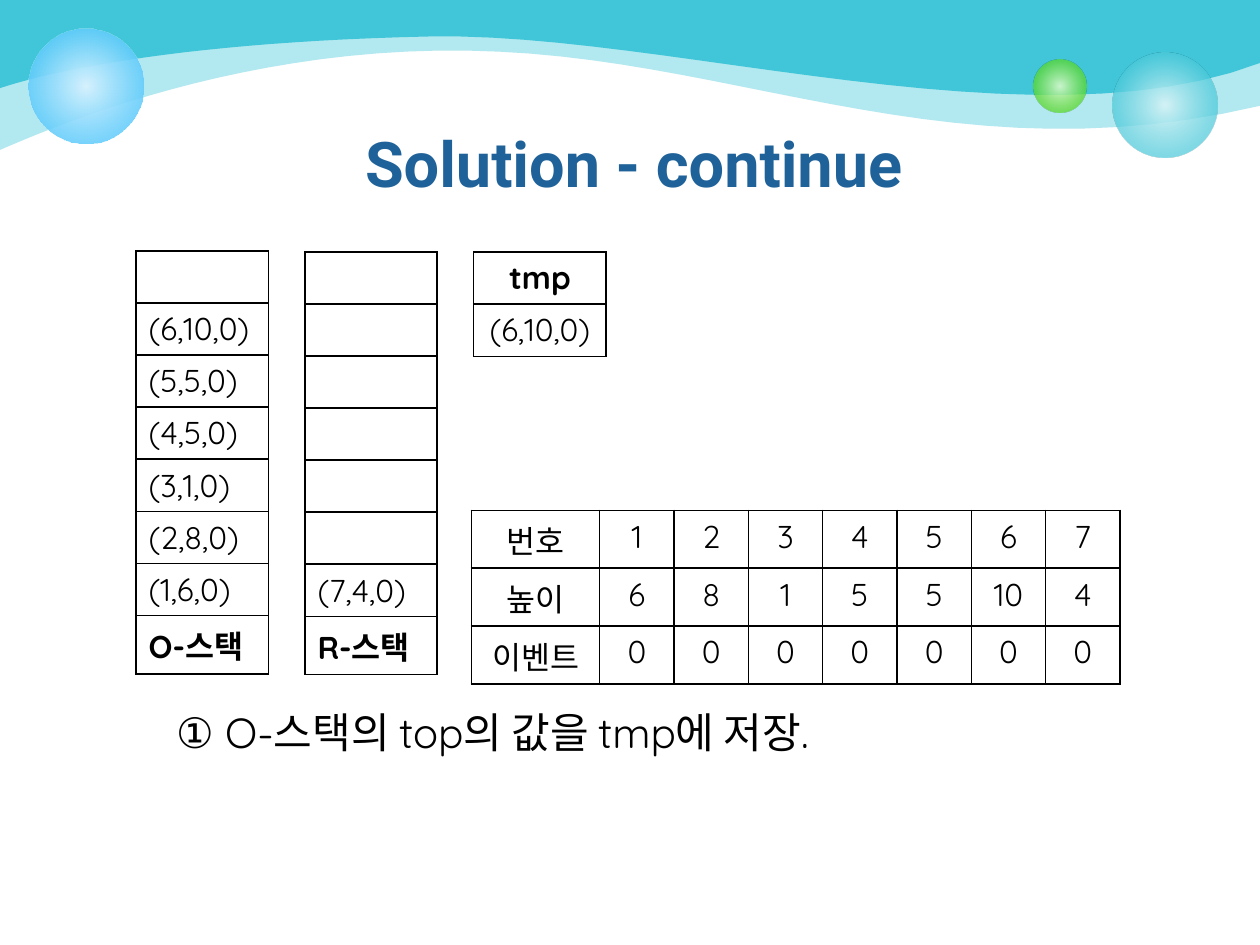
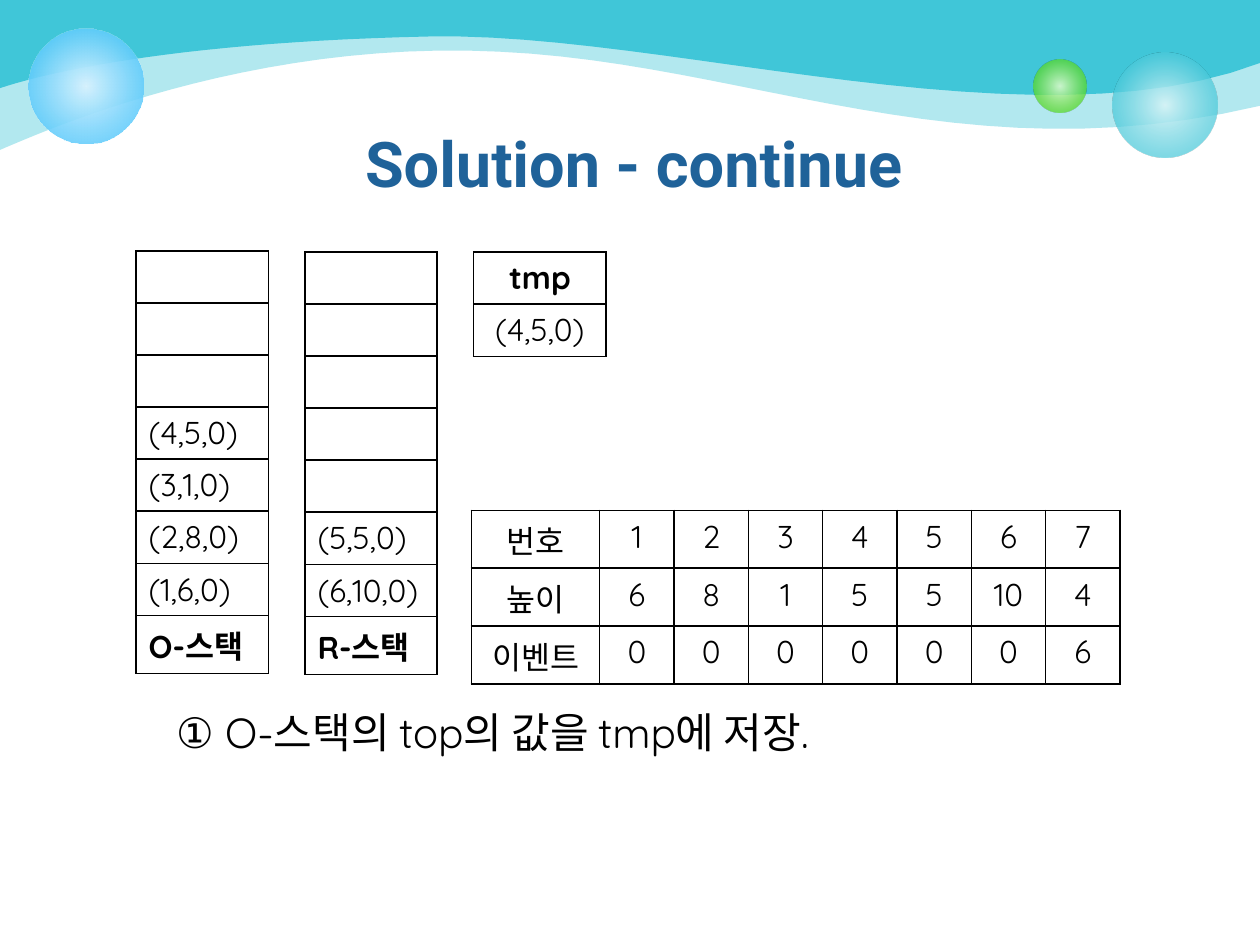
from dataclasses import dataclass

from lxml import etree
from pptx import Presentation
from pptx.dml.color import RGBColor
from pptx.enum.shapes import MSO_SHAPE
from pptx.enum.text import MSO_ANCHOR, PP_ALIGN
from pptx.oxml import parse_xml
from pptx.oxml.ns import nsdecls, qn
from pptx.util import Emu, Inches, Pt

ELLIPSE = MSO_SHAPE.OVAL
MIDDLE = MSO_ANCHOR.MIDDLE
LEFT, CENTER = PP_ALIGN.LEFT, PP_ALIGN.CENTER

SLIDE_W, SLIDE_H = Inches(10), Inches(7.5)
COLUMNS = 100
CURVE_STEPS = 24
TITLE_ONLY = 5


@dataclass(frozen=True)
class Theme:
    wave: str = "40C6D8"
    title: str = "1F6299"
    ink: str = "000000"
    title_font: str = "Roboto"
    body_font: str = "Quicksand"
    title_size: int = 36
    step_size: int = 24
    cell_size: int = 18
    border: float = 1


@dataclass(frozen=True)
class Stop:
    position: int
    color: str
    opacity: int


@dataclass(frozen=True)
class Bubble:
    left: float
    top: float
    size: float
    stops: tuple[Stop, Stop]


@dataclass(frozen=True)
class Wave:
    start: tuple[float, float]
    curves: tuple
    opacity: int


@dataclass(frozen=True)
class CellTable:
    left: float
    top: float
    widths: list[float]
    row_height: float
    rows: list[list[str]]
    align: int
    bold_row: int | None = None


@dataclass(frozen=True)
class Step:
    o_stack: list[int]
    r_stack: list[int]
    tmp: int
    events: list[int]


THEME = Theme()

WAVES = [
    Wave((0, 11.9), (((3.3, 10.5), (19.7, 3.1), (39.6, 4.1)),
                     ((59.5, 5), (76.2, 14), (100, 8.4))), 40),
    Wave((0, 7), (((4.5, 5.5), (15.3, 3.3), (34.1, 2.9)),
                  ((52.9, 2.5), (82, 11.9), (100, 5))), 100),
]

BUBBLES = [
    Bubble(88.3, 4.2, 8.3, (Stop(0, "D9F4F7", 90), Stop(76, "40C6D8", 70))),
    Bubble(82, 4.7, 4.2, (Stop(0, "DAFACD", 90), Stop(76, "4CD416", 70))),
    Bubble(2.3, 2.3, 9.1, (Stop(0, "D6F2FE", 100), Stop(100, "33BDFB", 80))),
]

TITLE = "Solution - continue"
INSTRUCTION = "① O-스택의 top의 값을 tmp에 저장."
HEIGHTS = [6, 8, 1, 5, 5, 10, 4]
STACK_WIDTH = 10.5
STACK_ROW = 4.13

STEPS = [
    Step([1, 2, 3, 4, 5, 6], [7], 6, [0] * 7),
    Step([1, 2, 3, 4], [6, 5], 4, [0] * 6 + [6]),
]


def grid(units: float) -> Emu:
    return Emu(round(SLIDE_W * units / COLUMNS))


def rgb(color: str) -> RGBColor:
    return RGBColor.from_string(color)


def style_runs(p, font: str, size: int, color: str, bold: bool = False) -> None:
    for r in p.runs:
        r.font.name = font
        r.font.size = Pt(size)
        r.font.bold = bold
        r.font.color.rgb = rgb(color)


def solid(s, color: str):
    s.shadow.inherit = False
    s.line.fill.background()
    s.fill.solid()
    s.fill.fore_color.rgb = rgb(color)
    return s.element.spPr.find(qn("a:solidFill"))


def bezier(p0, p1, p2, p3) -> list:
    points = []
    for i in range(1, CURVE_STEPS + 1):
        t = i / CURVE_STEPS
        u = 1 - t
        points.append(tuple(
            u**3 * a + 3 * u * u * t * b + 3 * u * t * t * c + t**3 * d
            for a, b, c, d in zip(p0, p1, p2, p3)
        ))
    return points


def draw_wave(slide, wave: Wave):
    points = [wave.start]
    for curve in wave.curves:
        points += bezier(points[-1], *curve)
    points.append((COLUMNS, 0))
    builder = slide.shapes.build_freeform(0, 0)
    builder.add_line_segments([(grid(x), grid(y)) for x, y in points])
    s = builder.convert_to_shape()
    fill = solid(s, THEME.wave)
    if wave.opacity < 100:
        etree.SubElement(fill[0], qn("a:alpha"), val=str(wave.opacity * 1000))
    return s


def draw_bubble(slide, bubble: Bubble):
    size = grid(bubble.size)
    s = slide.shapes.add_shape(ELLIPSE, grid(bubble.left), grid(bubble.top), size, size)
    fill = solid(s, bubble.stops[-1].color)
    stops = "".join(
        f'<a:gs pos="{stop.position * 1000}"><a:srgbClr val="{stop.color}">'
        f'<a:alpha val="{stop.opacity * 1000}"/></a:srgbClr></a:gs>'
        for stop in bubble.stops
    )
    gradient = parse_xml(
        f'<a:gradFill {nsdecls("a")} rotWithShape="1"><a:gsLst>{stops}</a:gsLst>'
        '<a:path path="circle"><a:fillToRect l="50000" t="50000" r="50000" b="50000"/>'
        "</a:path></a:gradFill>"
    )
    fill.getparent().replace(fill, gradient)
    return s


def decorate_layout(slide) -> None:
    decorations = [draw_wave(slide, wave) for wave in WAVES]
    decorations += [draw_bubble(slide, bubble) for bubble in BUBBLES]
    tree = slide.slide_layout.shapes.element
    for i, s in enumerate(decorations):
        tree.insert(2 + i, s.element)


def draw_title(slide) -> None:
    s = slide.shapes.title
    s.left, s.top, s.width, s.height = map(grid, (5.3, 8.9, 90, 7.9))
    tf = s.text_frame
    tf.text = TITLE
    tf.vertical_anchor = MIDDLE
    p = tf.paragraphs[0]
    p.alignment = CENTER
    style_runs(p, THEME.title_font, THEME.title_size, THEME.title, True)


def draw_instruction(slide) -> None:
    tf = slide.shapes.add_textbox(*map(grid, (13, 55.6, 74.6, 5.8))).text_frame
    tf.word_wrap = True
    tf.text = INSTRUCTION
    style_runs(tf.paragraphs[0], THEME.body_font, THEME.step_size, THEME.ink)


def outline_cell(cell) -> None:
    cell.fill.background()
    properties = cell._tc.get_or_add_tcPr()
    for i, side in enumerate(("lnL", "lnR", "lnT", "lnB")):
        properties.insert(i, parse_xml(
            f'<a:{side} {nsdecls("a")} w="{Pt(THEME.border)}"><a:solidFill>'
            f'<a:srgbClr val="{THEME.ink}"/></a:solidFill></a:{side}>'
        ))


def draw_table(slide, spec: CellTable) -> None:
    table = slide.shapes.add_table(
        len(spec.rows), len(spec.widths), grid(spec.left), grid(spec.top),
        grid(sum(spec.widths)), grid(spec.row_height * len(spec.rows)),
    ).table
    table.first_row = table.horz_banding = False
    for column, width in zip(table.columns, spec.widths):
        column.width = grid(width)
    for i, texts in enumerate(spec.rows):
        table.rows[i].height = grid(spec.row_height)
        for j, text in enumerate(texts):
            cell = table.cell(i, j)
            outline_cell(cell)
            cell.text = text
            p = cell.text_frame.paragraphs[0]
            p.alignment = spec.align
            style_runs(p, THEME.body_font, THEME.cell_size, THEME.ink, i == spec.bold_row)


def item(number: int) -> str:
    return f"({number},{HEIGHTS[number - 1]},0)"


def stack_table(left: float, top: float, name: str, numbers: list[int]) -> CellTable:
    capacity = len(HEIGHTS)
    blanks = [""] * (capacity - len(numbers))
    texts = blanks + [item(n) for n in reversed(numbers)] + [name]
    return CellTable(left, top, [STACK_WIDTH], STACK_ROW, [[t] for t in texts], LEFT, capacity)


def tmp_table(number: int) -> CellTable:
    return CellTable(37.6, 20, [STACK_WIDTH], STACK_ROW, [["tmp"], [item(number)]], CENTER, 0)


def event_table(events: list[int]) -> CellTable:
    count = len(HEIGHTS)
    series = {"번호": range(1, count + 1), "높이": HEIGHTS, "이벤트": events}
    rows = [[name, *map(str, values)] for name, values in series.items()]
    return CellTable(37.4, 40.5, [10.2] + [5.9] * count, 4.6, rows, CENTER)


def draw_step(slide, step: Step) -> None:
    draw_title(slide)
    draw_table(slide, stack_table(10.8, 19.9, "O-스택", step.o_stack))
    draw_table(slide, stack_table(24.2, 20, "R-스택", step.r_stack))
    draw_table(slide, tmp_table(step.tmp))
    draw_instruction(slide)
    draw_table(slide, event_table(step.events))


def main() -> None:
    prs = Presentation()
    prs.slide_width, prs.slide_height = SLIDE_W, SLIDE_H
    slides = [prs.slides.add_slide(prs.slide_layouts[TITLE_ONLY]) for _ in STEPS]
    decorate_layout(slides[0])
    for slide, step in zip(slides, STEPS):
        draw_step(slide, step)
    prs.save("out.pptx")


if __name__ == "__main__":
    main()
